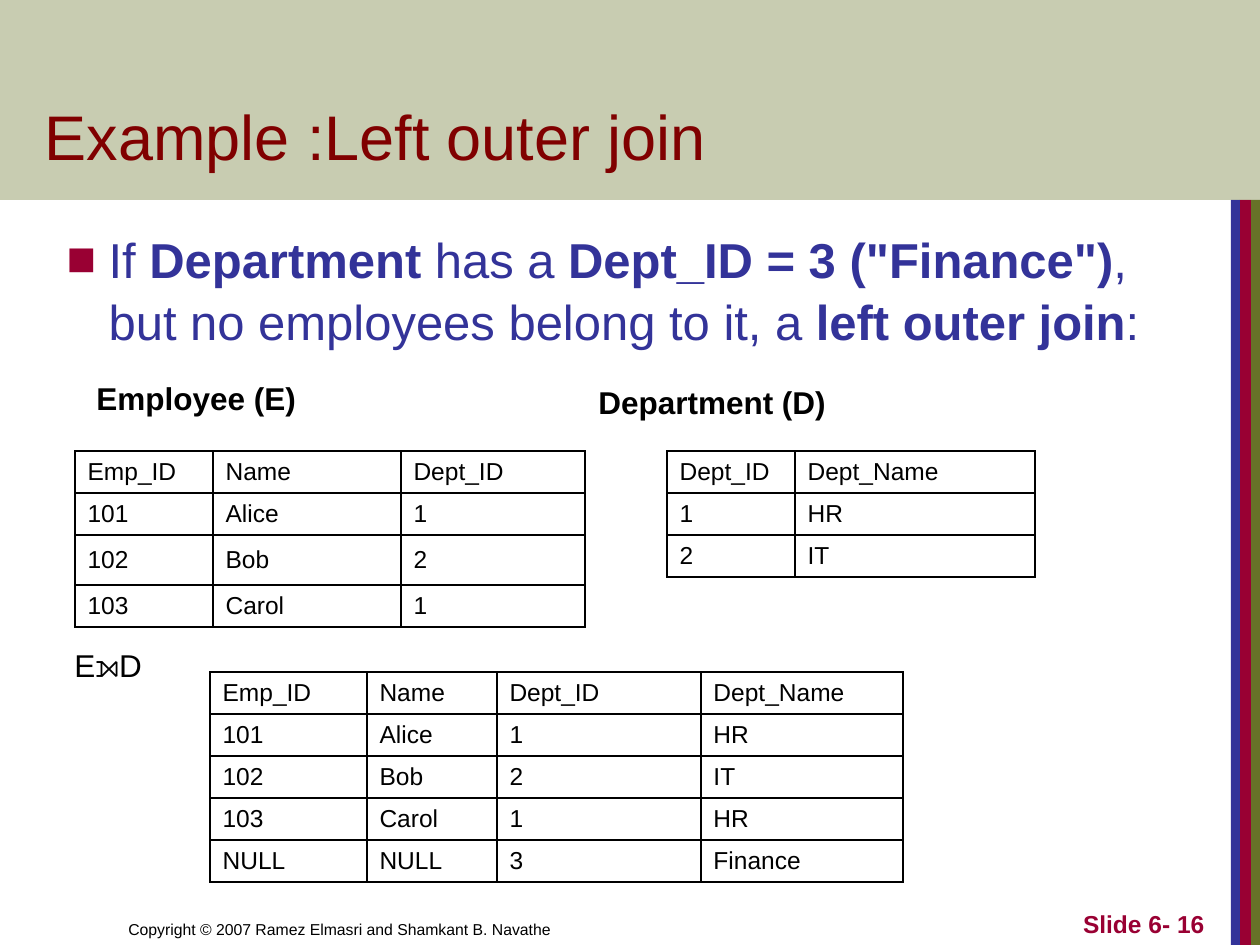
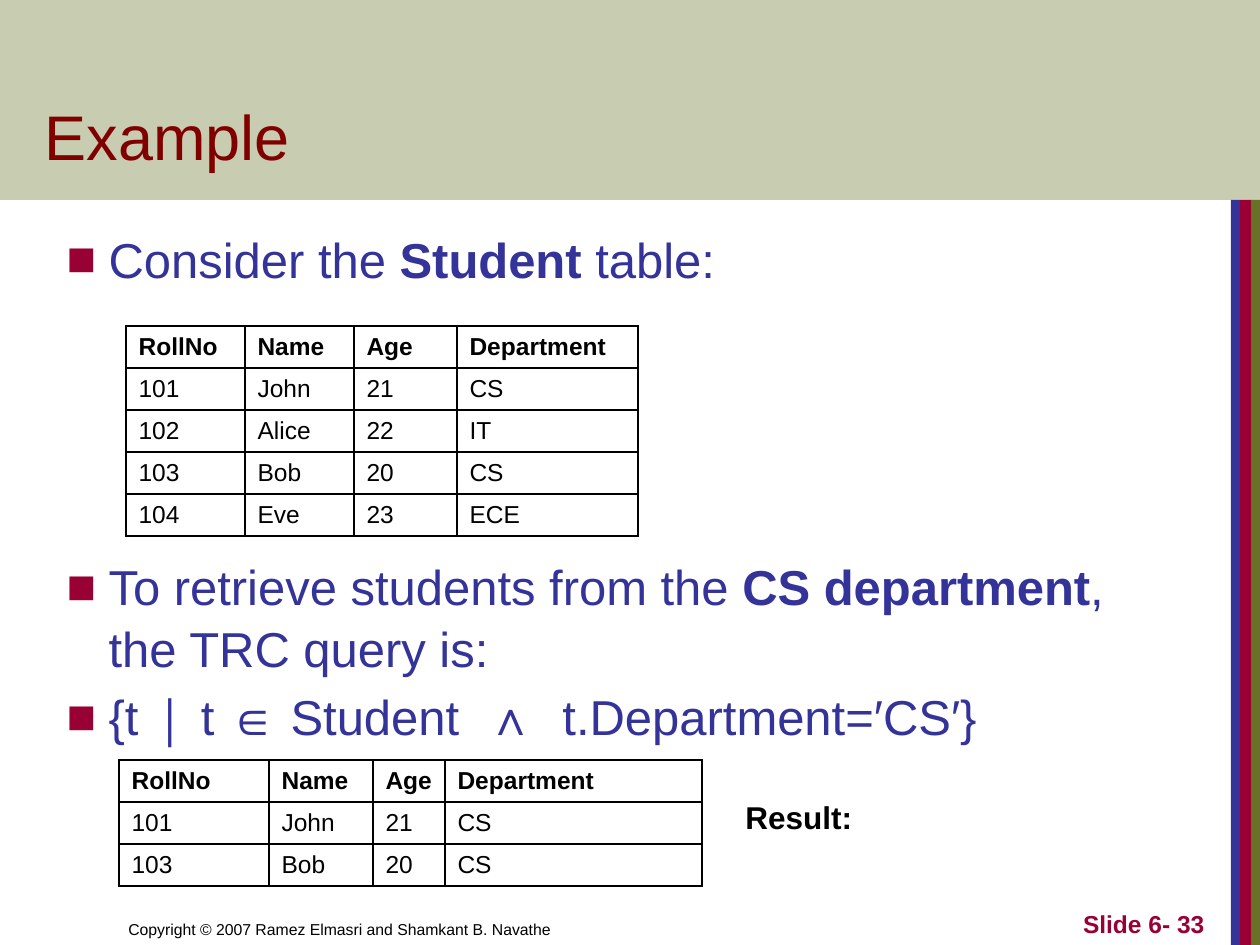
"""Build two lecture slides on outer joins and tuple relational calculus."""
from lxml.etree import SubElement
from pptx import Presentation
from pptx.dml.color import RGBColor
from pptx.enum.shapes import MSO_SHAPE as Shape
from pptx.enum.text import MSO_ANCHOR as Anchor, MSO_AUTO_SIZE as AutoSize, PP_ALIGN as Align
from pptx.oxml.ns import qn
from pptx.util import Emu, Pt

SCALE = 914400 / 126
BLACK = RGBColor(0x00, 0x00, 0x00)
MAROON = RGBColor(0x80, 0x00, 0x00)
NAVY = RGBColor(0x33, 0x33, 0x99)
CRIMSON = RGBColor(0x99, 0x00, 0x33)
OLIVE = RGBColor(0x67, 0x72, 0x28)

TITLE = {"size": Pt(36), "color": MAROON}
BODY = {"size": Pt(28), "color": NAVY}
CELL = {"size": Pt(14), "color": BLACK}
LABEL = {"size": Pt(18), "color": BLACK}
COPYRIGHT = {"size": Pt(9), "color": BLACK}
NUMBER = {"size": Pt(14), "color": CRIMSON}
STRIPES = [(1231, 9, NAVY), (1240, 11, CRIMSON), (1251, 9, OLIVE)]
ROW_HEIGHT = 42


def px(length):
    """Turn pixels into EMU."""
    return Emu(round(length * SCALE))


class SlideBuilder:
    """Hold the shared style and the current slide."""

    def __init__(self):
        """Start an empty deck of the right size."""
        self.deck = Presentation()
        self.deck.slide_width, self.deck.slide_height = px(1260), px(945)
        self.page = None

    def start_page(self, title, number):
        """Add a slide with its bands, title and footers."""
        self.page = self.deck.slides.add_slide(self.deck.slide_layouts[1])
        self.band(0, 0, 1260, 200, OLIVE, 36)
        for left, width, color in STRIPES:
            self.band(left, 200, width, 745, color)
        heading = self.page.shapes.title
        self.place(heading, 32, 42, 1075, 137)
        self.frame(heading, Anchor.BOTTOM)
        self.add_spans(heading.text_frame.paragraphs[0], title, TITLE)
        self.label("Copyright © 2007 Ramez Elmasri and Shamkant B. Navathe",
                   116, 882, 620, 63, COPYRIGHT, Anchor.BOTTOM)
        self.label(f"**Slide 6- {number}**", 955, 882, 262, 63, NUMBER, Anchor.BOTTOM, Align.RIGHT)

    def place(self, shape, *bounds):
        """Move and size a shape."""
        for name, length in zip(("left", "top", "width", "height"), bounds):
            setattr(shape, name, px(length))

    def frame(self, shape, anchor):
        """Set how a shape holds its text."""
        settings = {"word_wrap": True, "auto_size": AutoSize.NONE, "vertical_anchor": anchor}
        for name, value in settings.items():
            setattr(shape.text_frame, name, value)

    def add_spans(self, para, text, style, align=Align.LEFT):
        """Add text whose bold parts stand between double asterisks."""
        para.alignment = align
        for index, part in enumerate(text.split("**")):
            if part:
                span = para.add_run()
                span.text = part
                settings = {"name": "Arial", "size": style["size"], "bold": index % 2 == 1}
                for name, value in settings.items():
                    setattr(span.font, name, value)
                span.font.color.rgb = style["color"]

    def band(self, left, top, width, height, color, opacity=100):
        """Draw a plain band behind the placeholders."""
        box = self.page.shapes.add_shape(Shape.RECTANGLE, *map(px, (left, top, width, height)))
        box.shadow.inherit = False
        box.line.fill.background()
        box.fill.solid()
        box.fill.fore_color.rgb = color
        if opacity < 100:
            tint = box._element.spPr.find(f".//{qn('a:srgbClr')}")
            SubElement(tint, qn("a:alpha"), val=str(opacity * 1000))
        self.page.shapes._spTree.insert(2, box._element)

    def label(self, text, left, top, width, height, style=LABEL,
              anchor=Anchor.MIDDLE, align=Align.LEFT):
        """Add one line of free text."""
        box = self.page.shapes.add_textbox(*map(px, (left, top, width, height)))
        self.frame(box, anchor)
        self.add_spans(box.text_frame.paragraphs[0], text, style, align)

    def bullets(self, items):
        """Fill the body with pairs of text and space before in points."""
        body = self.page.placeholders[1]
        self.place(body, 33, 220, 1143, 630)
        self.frame(body, Anchor.TOP)
        body.text_frame.margin_right = 0
        for index, (text, space) in enumerate(items):
            para = body.text_frame.add_paragraph() if index else body.text_frame.paragraphs[0]
            self.add_spans(para, text, BODY)
            para.line_spacing = 1.05
            para.space_before = Pt(space)
            layout = para._p.get_or_add_pPr()
            layout.set("marL", str(px(63)))
            layout.set("indent", str(-px(42)))
            SubElement(SubElement(layout, qn("a:buClr")), qn("a:srgbClr"), val=str(CRIMSON))
            SubElement(layout, qn("a:buFont"), typeface="Arial")
            SubElement(layout, qn("a:buChar"), char="■")

    def table(self, left, top, widths, rows, bold_header=False, tall_rows=None):
        """Add a ruled table without fills."""
        heights = [(tall_rows or {}).get(index, ROW_HEIGHT) for index in range(len(rows))]
        bounds = map(px, (left, top, sum(widths), sum(heights)))
        grid = self.page.shapes.add_table(len(rows), len(widths), *bounds).table
        grid.horz_banding = False
        for column, width in zip(grid.columns, widths):
            column.width = px(width)
        for index, (height, values) in enumerate(zip(heights, rows)):
            grid.rows[index].height = px(height)
            for cell, value in zip(grid.rows[index].cells, values):
                text = f"**{value}**" if bold_header and index == 0 else value
                self.add_spans(cell.text_frame.paragraphs[0], text, CELL)
                cell.vertical_anchor = Anchor.MIDDLE
                self.rule(cell)

    def rule(self, cell):
        """Draw black borders round a cell and clear its fill."""
        properties = cell._tc.get_or_add_tcPr()
        for side in ("lnL", "lnR", "lnT", "lnB"):
            line = SubElement(properties, qn(f"a:{side}"), w=str(Pt(1)))
            fill = SubElement(line, qn("a:solidFill"))
            SubElement(fill, qn("a:srgbClr"), val=str(BLACK))
        cell.fill.background()


def main():
    """Build both slides and save the deck."""
    builder = SlideBuilder()

    builder.start_page("Example :Left outer join", 16)
    builder.bullets([('If **Department** has a **Dept_ID = 3 ("Finance")**, '
                      "but no employees belong to it, a **left outer join**:", 3.6)])
    employees = [("101", "Alice", "1"), ("102", "Bob", "2"), ("103", "Carol", "1")]
    departments = [("1", "HR"), ("2", "IT")]
    names = dict(departments)
    joined = [(*employee, names[employee[2]]) for employee in employees]
    employee_header = ("Emp_ID", "Name", "Dept_ID")
    builder.table(75, 451, [138, 188, 184], [employee_header, *employees], tall_rows={2: 50})
    builder.label("**Employee (E)**", 84, 366, 400, 63)
    builder.table(667, 451, [128, 240], [("Dept_ID", "Dept_Name"), *departments])
    builder.label("**Department (D)**", 586, 370, 400, 63)
    builder.table(210, 672, [157, 130, 204, 202],
                  [(*employee_header, "Dept_Name"), *joined, ("NULL", "NULL", "3", "Finance")])
    builder.label("E⟕D", 62, 633, 140, 63)

    builder.start_page("Example", 33)
    builder.bullets([
        ("Consider the **Student** table:", 3.6),
        ("To retrieve students from the **CS department**, the TRC query is:", 152),
        ("{t ∣ t ∈ Student  ∧  t.Department=′CS′}", 3.6),
    ])
    header = ("RollNo", "Name", "Age", "Department")
    students = [
        ("101", "John", "21", "CS"),
        ("102", "Alice", "22", "IT"),
        ("103", "Bob", "20", "CS"),
        ("104", "Eve", "23", "ECE"),
    ]
    matches = [student for student in students if student[3] == "CS"]
    builder.table(126, 326, [119, 109, 103, 181], [header, *students], bold_header=True)
    builder.table(119, 760, [150, 104, 72, 257], [header, *matches], bold_header=True)
    builder.label("**Result:**", 733, 792, 374, 50)

    builder.deck.save("out.pptx")


if __name__ == "__main__":
    main()
